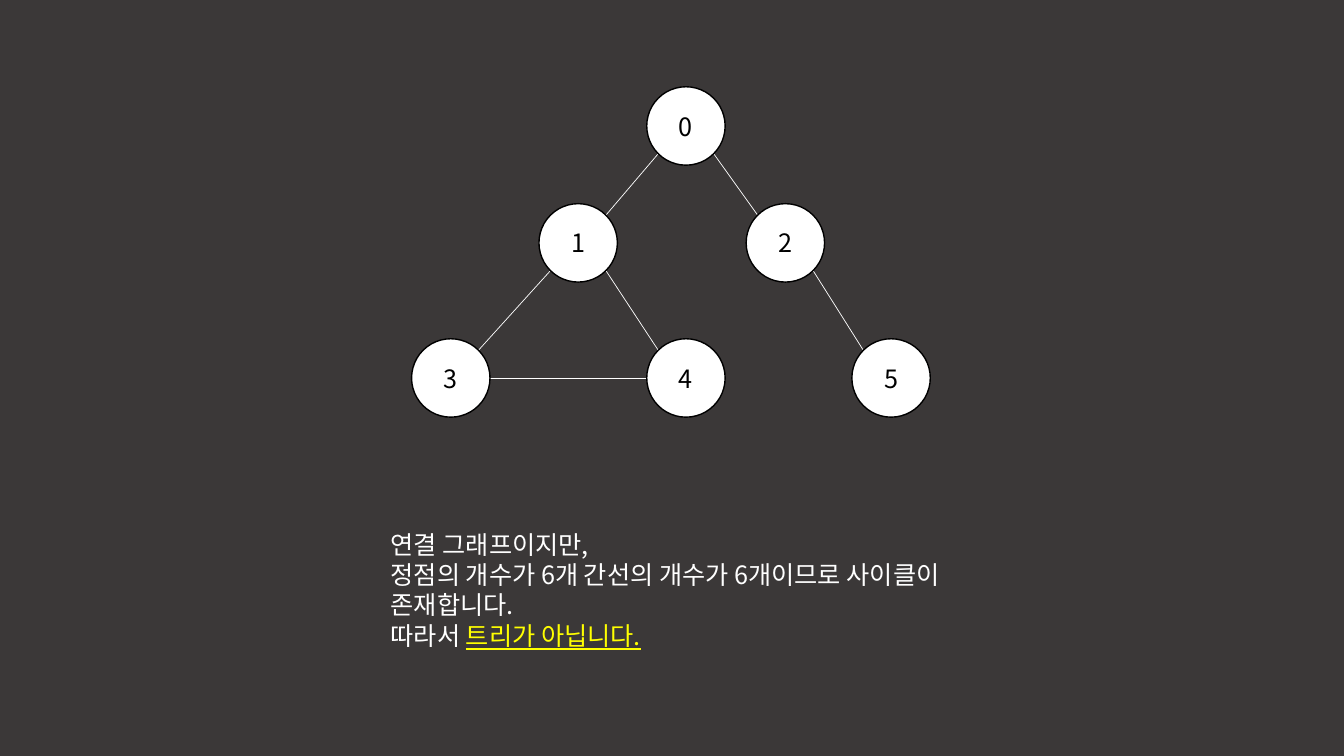
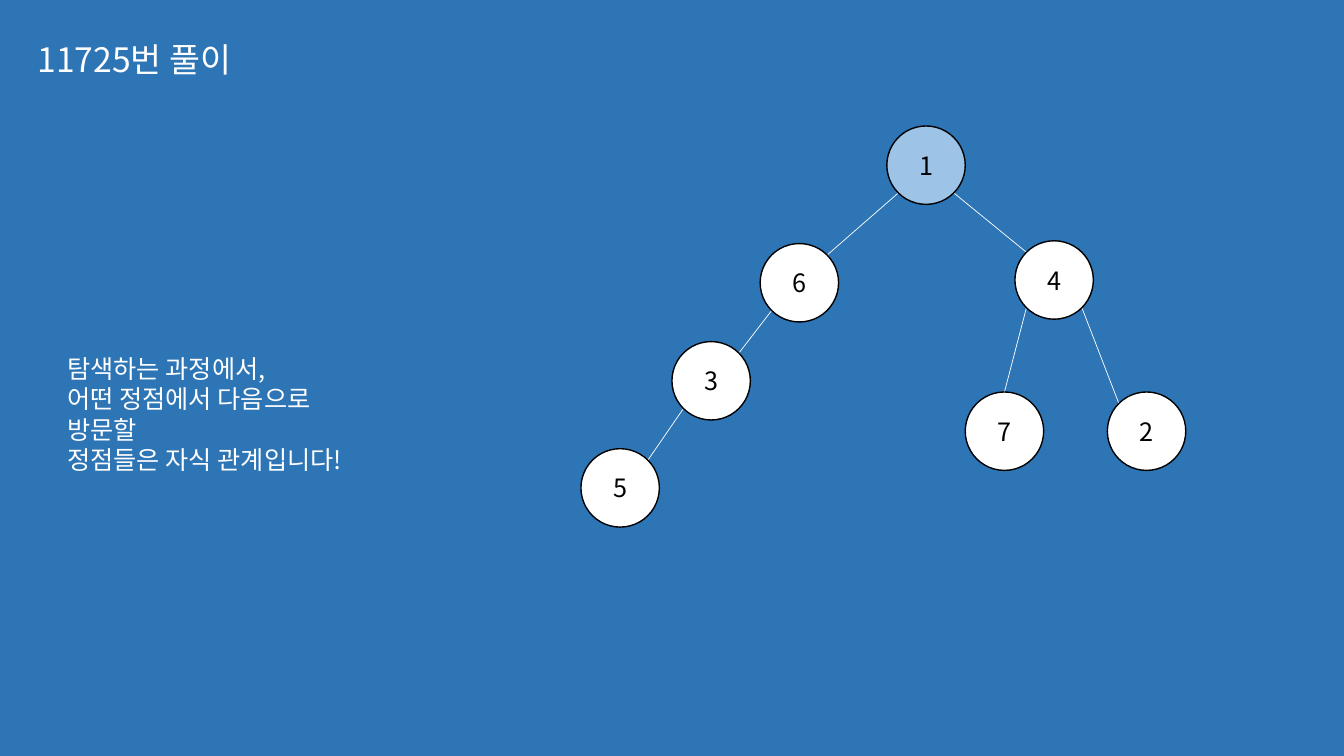
from dataclasses import dataclass
from math import sqrt

from lxml import etree
from pptx import Presentation
from pptx.dml.color import RGBColor
from pptx.enum.shapes import MSO_CONNECTOR, MSO_SHAPE
from pptx.enum.text import MSO_ANCHOR, PP_ALIGN
from pptx.oxml.ns import qn
from pptx.util import Pt

STRAIGHT = MSO_CONNECTOR.STRAIGHT
ELLIPSE = MSO_SHAPE.OVAL
MIDDLE = MSO_ANCHOR.MIDDLE
LEFT = PP_ALIGN.LEFT
CENTER = PP_ALIGN.CENTER

FONT = "Noto Sans CJK KR"
WHITE = "FFFFFF"
BLACK = "000000"
YELLOW = "FFFF00"
CHARCOAL = "3B3838"
BLUE = "2E75B6"
LIGHT_BLUE = "9DC3E6"

RADIUS = 28
DIAGONAL = sqrt(0.5)
TOP = (0, -1)
WEST = (-1, 0)
EAST = (1, 0)
LOWER_LEFT = (-DIAGONAL, DIAGONAL)
LOWER_RIGHT = (DIAGONAL, DIAGONAL)
UPPER_LEFT = (-DIAGONAL, -DIAGONAL)
UPPER_RIGHT = (DIAGONAL, -DIAGONAL)


@dataclass(frozen=True)
class Vertex:
    label: str
    x: float
    y: float
    fill: str = WHITE

    def rim(self, side):
        return Pt(self.x + RADIUS * side[0]), Pt(self.y + RADIUS * side[1])


@dataclass(frozen=True)
class Edge:
    start: str
    end: str
    start_side: tuple[float, float]
    end_side: tuple[float, float]


@dataclass(frozen=True)
class Phrase:
    text: str
    emphasized: bool = False


@dataclass(frozen=True)
class Caption:
    left: float
    top: float
    width: float
    height: float
    paragraphs: tuple[tuple[Phrase, ...], ...]
    size: int = 18
    align: PP_ALIGN = LEFT


@dataclass(frozen=True)
class Page:
    background: str
    vertices: tuple[Vertex, ...]
    edges: tuple[Edge, ...]
    captions: tuple[Caption, ...]


def left_edge(parent: str, child: str) -> Edge:
    return Edge(parent, child, LOWER_LEFT, UPPER_RIGHT)


def right_edge(parent: str, child: str) -> Edge:
    return Edge(parent, child, LOWER_RIGHT, UPPER_LEFT)


PAGES = (
    Page(
        CHARCOAL,
        (
            Vertex("0", 490, 90),
            Vertex("1", 413, 173.5),
            Vertex("2", 561, 173.5),
            Vertex("3", 322, 270),
            Vertex("4", 490, 270),
            Vertex("5", 636.5, 270),
        ),
        (
            left_edge("0", "1"),
            right_edge("0", "2"),
            left_edge("1", "3"),
            right_edge("1", "4"),
            right_edge("2", "5"),
            Edge("4", "3", WEST, EAST),
        ),
        (
            Caption(272, 374.5, 490, 73, (
                (Phrase("연결 그래프이지만,"),),
                (Phrase("정점의 개수가 6개 간선의 개수가 6개이므로 사이클이 존재합니다."),),
                (Phrase("따라서 "), Phrase("트리가 아닙니다.", True)),
            )),
        ),
    ),
    Page(
        BLUE,
        (
            Vertex("1", 661.5, 118, LIGHT_BLUE),
            Vertex("6", 571, 202),
            Vertex("4", 753, 200),
            Vertex("3", 508, 272),
            Vertex("5", 443, 348.5),
            Vertex("2", 819, 308),
            Vertex("7", 717.5, 308),
        ),
        (
            left_edge("1", "6"),
            right_edge("1", "4"),
            left_edge("6", "3"),
            left_edge("3", "5"),
            right_edge("4", "2"),
            Edge("4", "7", LOWER_LEFT, TOP),
        ),
        (
            Caption(19.5, 24.5, 153, 65.5, ((Phrase("11725번 풀이"),),), 24, CENTER),
            Caption(41, 249, 237, 73, (
                (Phrase("탐색하는 과정에서,"),),
                (Phrase("어떤 정점에서 다음으로 방문할"),),
                (Phrase("정점들은 자식 관계입니다!"),),
            )),
        ),
    ),
)


def rgb(value: str) -> RGBColor:
    return RGBColor.from_string(value)


def style(paragraph, size: int, color: str, align: PP_ALIGN) -> None:
    paragraph.alignment = align
    paragraph.font.name = FONT
    paragraph.font.size = Pt(size)
    paragraph.font.color.rgb = rgb(color)


def draw_edge(slide, edge: Edge, vertices: dict[str, Vertex]) -> None:
    start = vertices[edge.start].rim(edge.start_side)
    end = vertices[edge.end].rim(edge.end_side)
    line = slide.shapes.add_connector(STRAIGHT, *start, *end)
    line.line.color.rgb = rgb(WHITE)
    line.line.width = Pt(0.5)
    etree.SubElement(line._element.spPr, qn("a:effectLst"))


def draw_vertex(slide, vertex: Vertex) -> None:
    circle = slide.shapes.add_shape(
        ELLIPSE, Pt(vertex.x - RADIUS), Pt(vertex.y - RADIUS), Pt(2 * RADIUS), Pt(2 * RADIUS)
    )
    circle.shadow.inherit = False
    circle.fill.solid()
    circle.fill.fore_color.rgb = rgb(vertex.fill)
    circle.line.color.rgb = rgb(BLACK)
    circle.line.width = Pt(1)
    frame = circle.text_frame
    frame.vertical_anchor = MIDDLE
    frame.text = vertex.label
    style(frame.paragraphs[0], 18, BLACK, CENTER)


def draw_caption(slide, caption: Caption) -> None:
    box = slide.shapes.add_textbox(
        Pt(caption.left), Pt(caption.top), Pt(caption.width), Pt(caption.height)
    )
    frame = box.text_frame
    frame.word_wrap = True
    for index, phrases in enumerate(caption.paragraphs):
        paragraph = frame.add_paragraph() if index else frame.paragraphs[0]
        style(paragraph, caption.size, WHITE, caption.align)
        for phrase in phrases:
            run = paragraph.add_run()
            run.text = phrase.text
            if phrase.emphasized:
                run.font.color.rgb = rgb(YELLOW)
                run.font.underline = True


def main() -> None:
    deck = Presentation()
    deck.slide_width, deck.slide_height = Pt(960), Pt(540)
    blank = deck.slide_layouts[6]
    for page in PAGES:
        slide = deck.slides.add_slide(blank)
        slide.background.fill.solid()
        slide.background.fill.fore_color.rgb = rgb(page.background)
        vertices = {vertex.label: vertex for vertex in page.vertices}
        for edge in page.edges:
            draw_edge(slide, edge, vertices)
        for vertex in page.vertices:
            draw_vertex(slide, vertex)
        for caption in page.captions:
            draw_caption(slide, caption)
    deck.save("out.pptx")


if __name__ == "__main__":
    main()
